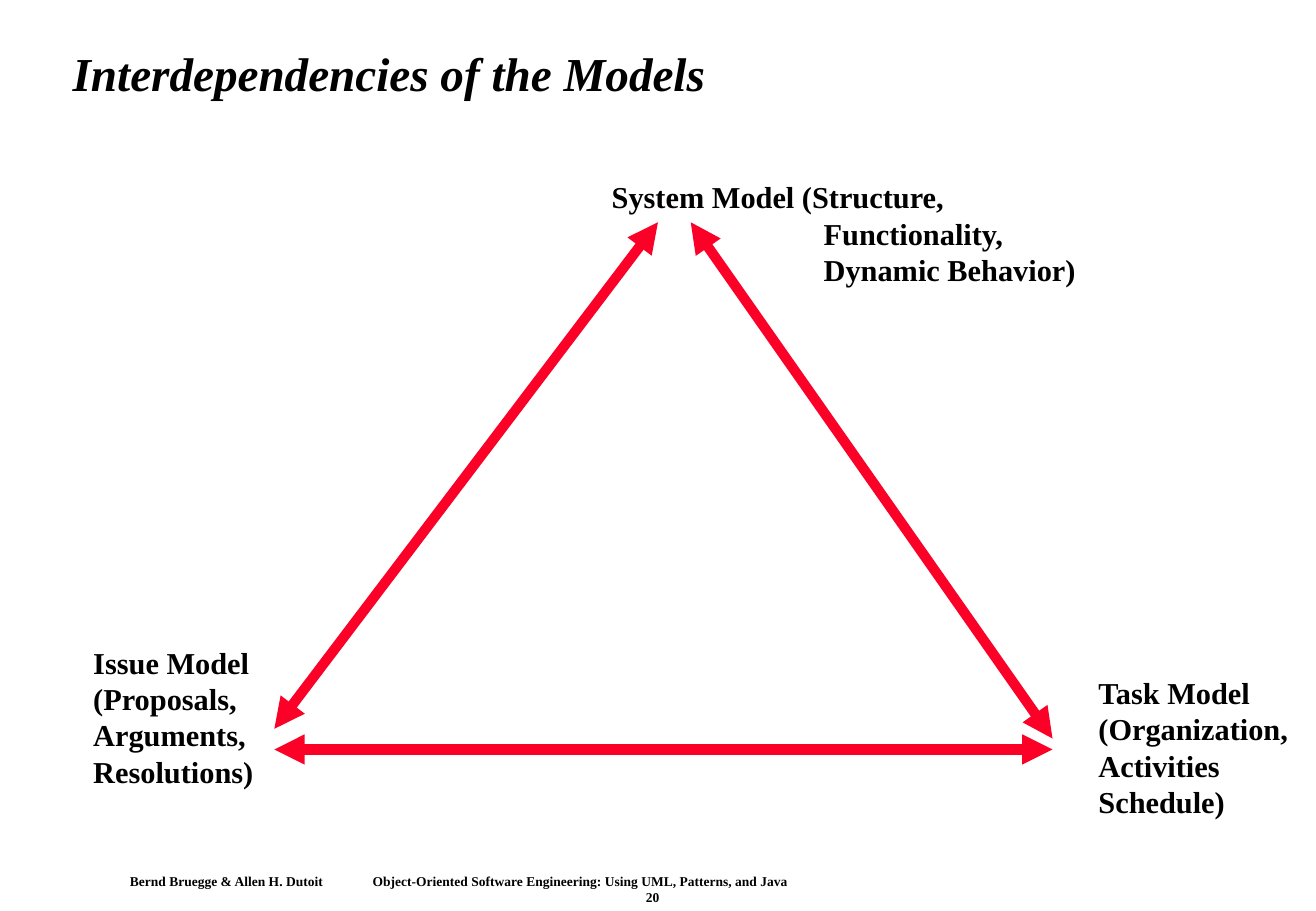
import pptx
import pptx.dml.color
import pptx.enum.shapes
import pptx.enum.text
import pptx.oxml
import pptx.oxml.ns
import pptx.util


class ModelSlide:
    """Draws styled elements on one slide, with lengths in percent of its size."""

    FONT = "Times New Roman"
    COLORS = {"text": "000000", "arrow": "FC0128", "background": "FFFFFF"}

    def __init__(self, prs):
        self.width, self.height = prs.slide_width, prs.slide_height
        self.s = prs.slides.add_slide(prs.slide_layouts[6])
        fill = self.s.background.fill
        fill.solid()
        fill.fore_color.rgb = self.color("background")

    def color(self, name):
        return pptx.dml.color.RGBColor.from_string(self.COLORS[name])

    def x(self, share):
        return round(self.width * share / 100)

    def y(self, share):
        return round(self.height * share / 100)

    def child(self, parent, tag, **attrs):
        el = pptx.oxml.ns.qn(tag)
        el = parent.makeelement(el, {k: str(v) for k, v in attrs.items()})
        parent.append(el)
        return el

    def text(self, left, top, width, height, lines, size=18, italic=False,
             indents=(), tab=None, spacing=None, insets=(0.1, 0.05), middle=False):
        sp = self.s.shapes.add_textbox(
            self.x(left), self.y(top), self.x(width), self.y(height))
        tf = sp.text_frame
        tf.word_wrap = True
        tf.margin_left = tf.margin_right = pptx.util.Inches(insets[0])
        tf.margin_top = tf.margin_bottom = pptx.util.Inches(insets[1])
        anchor = pptx.enum.text.MSO_ANCHOR
        tf.vertical_anchor = anchor.MIDDLE if middle else anchor.TOP
        for i, line in enumerate(lines):
            p = tf.paragraphs[0] if i == 0 else tf.add_paragraph()
            pPr = p._p.get_or_add_pPr()
            if i < len(indents):
                pPr.set("marL", str(self.x(indents[i])))
                pPr.set("indent", "0")
            if tab is not None:
                tabs = self.child(pPr, "a:tabLst")
                self.child(tabs, "a:tab", pos=self.x(tab), algn="l")
            if spacing is not None:
                p.line_spacing = spacing
            r = p.add_run()
            r.text = line
            r.font.name = self.FONT
            r.font.size = pptx.util.Pt(size)
            r.font.bold = True
            r.font.italic = italic
            r.font.color.rgb = self.color("text")

    def arrow(self, start, end):
        sp = self.s.shapes.add_connector(
            pptx.enum.shapes.MSO_CONNECTOR.STRAIGHT,
            self.x(start[0]), self.y(start[1]), self.x(end[0]), self.y(end[1]))
        sp.line.color.rgb = self.color("arrow")
        sp.line.width = pptx.util.Pt(6)
        ln = sp.line._get_or_add_ln()
        for tag in ("a:headEnd", "a:tailEnd"):
            self.child(ln, tag, type="triangle")
        self.child(sp._element.spPr, "a:effectLst")


def main():
    prs = pptx.Presentation()
    prs.slide_width = pptx.util.Inches(10.84)
    prs.slide_height = pptx.util.Inches(7.5)
    s = ModelSlide(prs)

    s.text(9.13, 95.33, 79.8, 4.53,
           ["Bernd Bruegge & Allen H. Dutoit\tObject-Oriented Software Engineering: "
            "Using UML, Patterns, and Java", "20"],
           size=8, indents=(0, 39.21), tab=36.9, insets=(0.08, 0.04))
    s.text(4.61, 3.2, 89.11, 10.27, ["Interdependencies of the Models"],
           size=28, italic=True, spacing=0.9, middle=True)
    s.text(45.57, 18.93, 40, 13.33,
           ["System Model (Structure,", "Functionality,", "Dynamic Behavior)"],
           indents=(0, 16.11, 16.11))
    s.text(6.18, 70, 15, 17.33,
           ["Issue Model", "(Proposals,", "Arguments,", "Resolutions)"])
    s.text(82.56, 73.33, 17.4, 17.33,
           ["Task Model", "(Organization,", "Activities", "Schedule)"])

    left, right, base = 20.85, 79.98, 82.27
    s.arrow((50, 24.4), (left, 80))
    s.arrow((left, base), (right, base))
    s.arrow((right, 81.07), (52.49, 24.4))
    prs.save("out.pptx")


if __name__ == "__main__":
    main()
